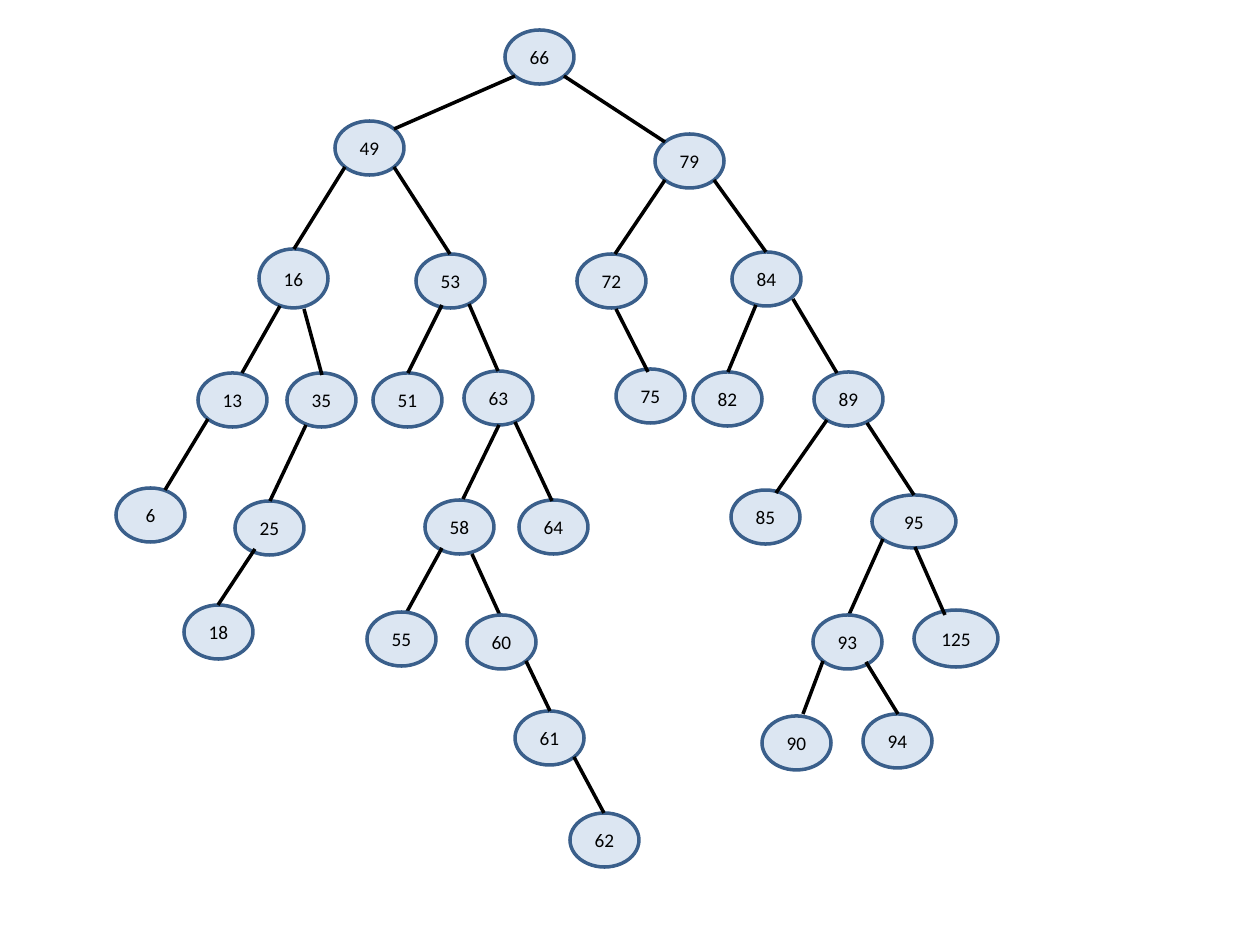
import math
from lxml import etree
from pptx import Presentation
from pptx import util as u
from pptx.dml.color import RGBColor
from pptx.enum import shapes, text
from pptx.oxml import ns

PX = 914400 // 126
NODE_SIZE = (69, 54)

# number: (left, top, parent), parents before children
NODES = {
    66: (505, 30, None),
    49: (335, 121, 66), 79: (655, 134, 66),
    16: (259, 249, 49), 53: (416, 254, 49),
    72: (577, 254, 79), 84: (732, 252, 79),
    13: (198, 373, 16), 35: (287, 373, 16),
    51: (373, 373, 53), 63: (464, 371, 53),
    75: (616, 369, 72), 82: (693, 372, 84), 89: (814, 372, 84),
    6: (116, 488, 13), 25: (235, 501, 35),
    58: (425, 500, 63), 64: (519, 500, 63),
    85: (731, 490, 89), 95: (872, 495, 89),
    18: (184, 605, 25), 55: (367, 612, 58), 60: (467, 615, 58),
    93: (813, 615, 95), 125: (914, 610, 95),
    61: (515, 711, 60), 90: (762, 716, 93), 94: (863, 714, 93),
    62: (570, 813, 61),
}
SIZES = {16: (69, 59), 95: (84, 53), 125: (84, 57)}

# Edge ends, by child, that leave the usual corner of the parent or top of the child
STARTS = {
    13: (280, 306), 35: (304, 309), 51: (442, 305), 63: (469, 304),
    75: (616, 309), 82: (756, 305), 89: (793, 299), 25: (306, 425),
    58: (499, 425), 64: (515, 422), 85: (827, 420), 95: (867, 423),
    18: (255, 549), 55: (442, 548), 60: (472, 554), 93: (883, 539),
    125: (915, 547), 94: (866, 662),
}
ENDS = {
    49: (394, 129), 79: (665, 142), 72: (615, 254), 13: (242, 373),
    35: (322, 375), 75: (648, 372), 89: (837, 373), 6: (165, 490),
    58: (463, 499), 64: (552, 501), 85: (776, 493), 55: (397, 630),
    60: (503, 622), 93: (848, 617), 125: (945, 615), 90: (803, 714),
}
EDGE_BEHIND_CHILD = {55, 60, 93}


def color(hex_code):
    """Turn a hex string into a colour."""
    return RGBColor.from_string(hex_code)


def style_line(shape, hex_code):
    """Give a shape its outline."""
    shape.line.color.rgb = color(hex_code)
    shape.line.width = u.Pt(2)


def node_box(number):
    """Return left, top, width and height of a node."""
    return (*NODES[number][:2], *SIZES.get(number, NODE_SIZE))


def add_node(slide, number):
    """Draw one numbered node."""
    node = slide.shapes.add_shape(
        shapes.MSO_SHAPE.OVAL, *(value * PX for value in node_box(number)))
    node.shadow.inherit = False
    node.fill.solid()
    node.fill.fore_color.rgb = color("DCE6F2")
    style_line(node, "3A5F8B")
    frame = node.text_frame
    frame.vertical_anchor = text.MSO_ANCHOR.MIDDLE
    para = frame.paragraphs[0]
    para.text = str(number)
    para.alignment = text.PP_ALIGN.CENTER
    para.font.name = "Calibri"
    para.font.size = u.Pt(11)
    para.font.color.rgb = color("000000")


def edge_points(child):
    """Join the parent's lower corner to the top of the child."""
    parent = NODES[child][2]
    left, top, width, height = node_box(parent)
    side = 1 if NODES[child][0] > left else -1
    reach = math.sqrt(0.5) / 2
    corner = (round(left + width * (0.5 + side * reach)),
              round(top + height * (0.5 + reach)))
    child_left, child_top, child_width, _ = node_box(child)
    peak = (round(child_left + child_width / 2), child_top)
    return STARTS.get(child, corner) + ENDS.get(child, peak)


def add_edge(slide, child):
    """Draw the line from a node's parent to the node."""
    edge = slide.shapes.add_connector(
        shapes.MSO_CONNECTOR.STRAIGHT, *(value * PX for value in edge_points(child)))
    style_line(edge, "000000")
    etree.SubElement(edge._element.spPr, ns.qn("a:effectLst"))


deck = Presentation()
deck.slide_width, deck.slide_height = u.Inches(10), u.Inches(7.5)
tree_slide = deck.slides.add_slide(deck.slide_layouts[6])

for number, (_, _, parent) in NODES.items():
    steps = [add_node] if parent is None else [add_node, add_edge]
    if number in EDGE_BEHIND_CHILD:
        steps.reverse()
    for step in steps:
        step(tree_slide, number)

deck.save("out.pptx")
